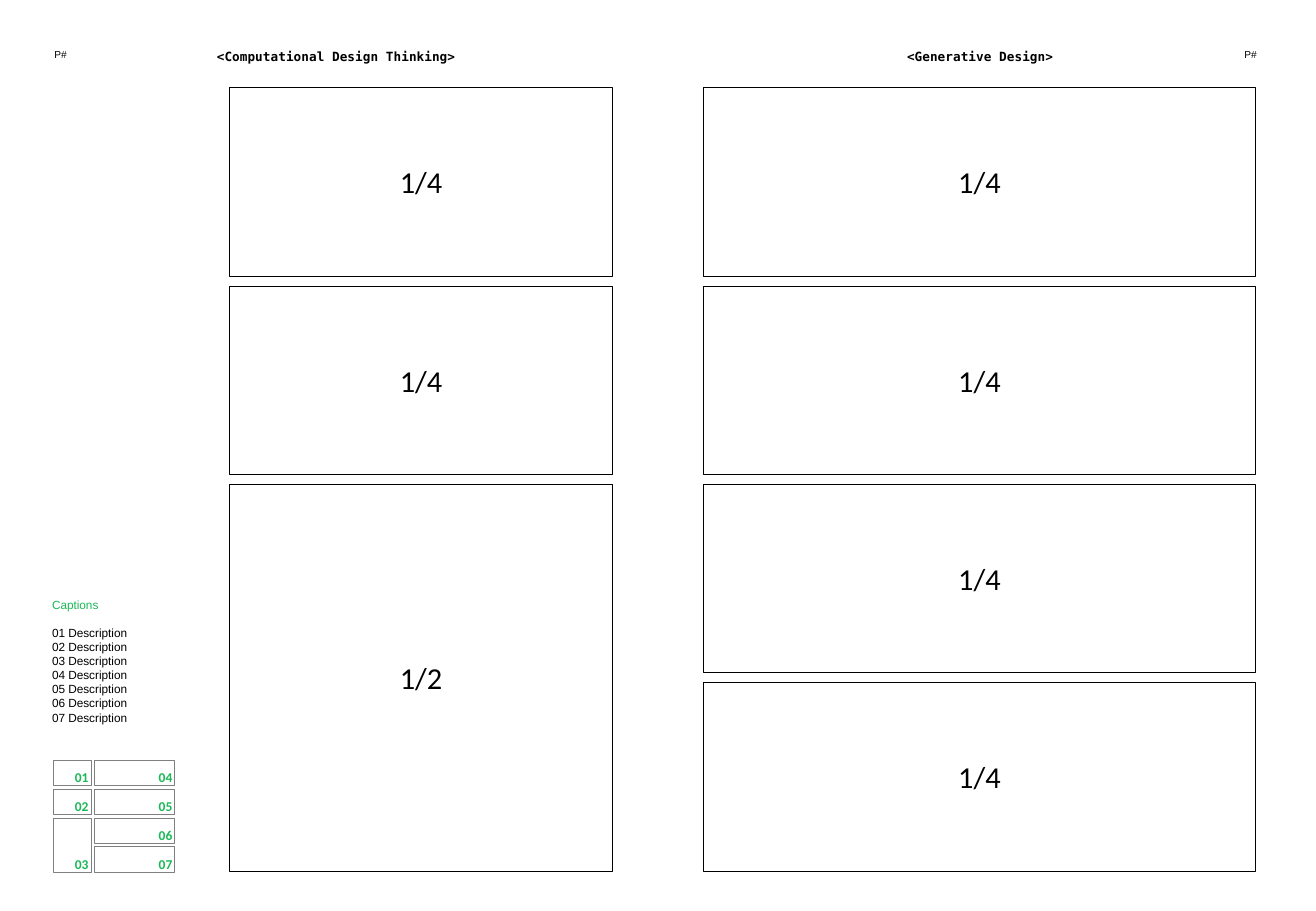
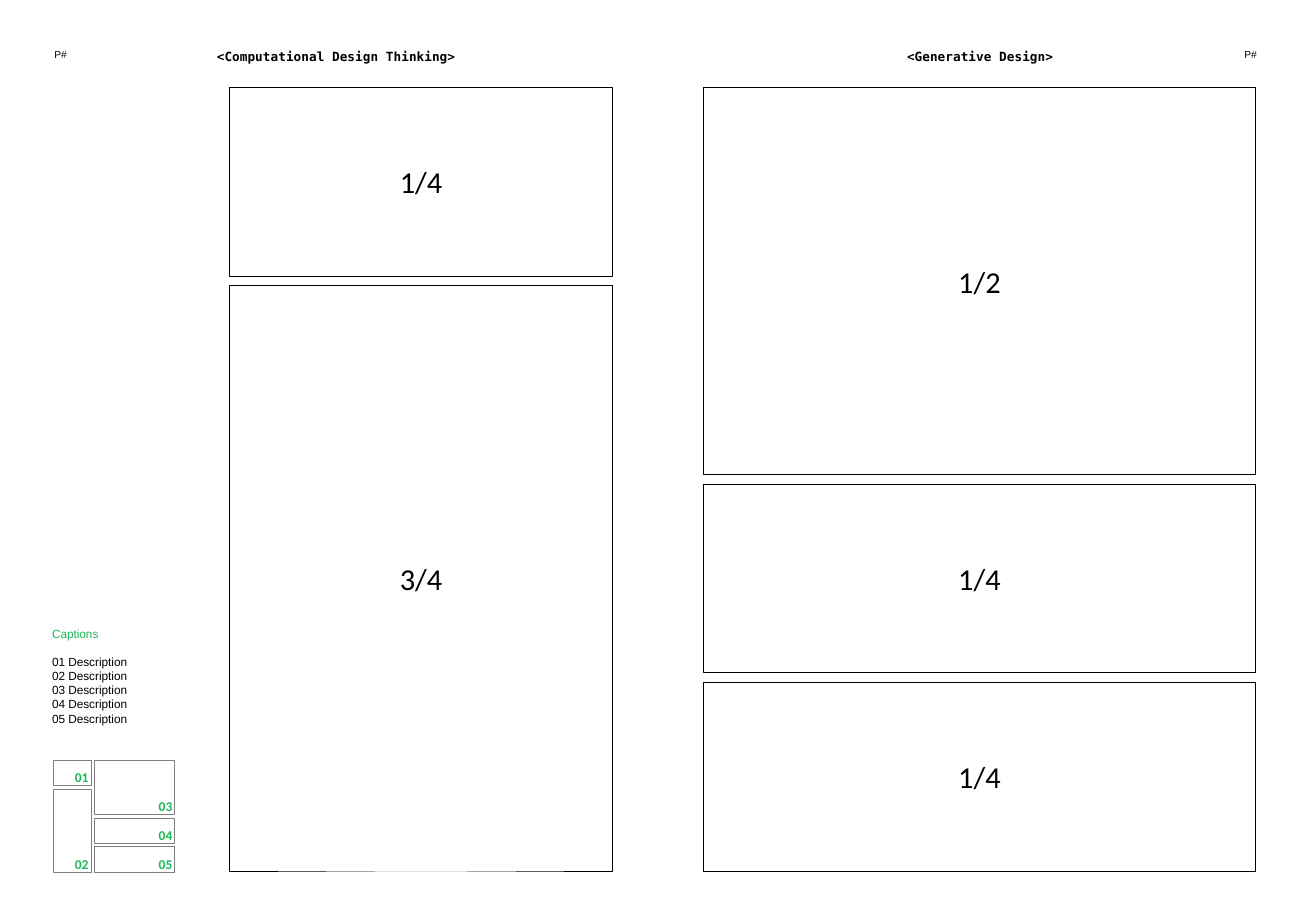
from pptx import Presentation
from pptx.dml.color import RGBColor
from pptx.enum.shapes import MSO_SHAPE
from pptx.enum.text import MSO_ANCHOR, MSO_AUTO_SIZE, PP_ALIGN
from pptx.util import Pt

PX = 9144  # 100 px to the inch
LEFT, CENTER, RIGHT = PP_ALIGN.LEFT, PP_ALIGN.CENTER, PP_ALIGN.RIGHT
TOP, MIDDLE, BOTTOM = MSO_ANCHOR.TOP, MSO_ANCHOR.MIDDLE, MSO_ANCHOR.BOTTOM
NO_AUTOFIT = MSO_AUTO_SIZE.NONE
RECTANGLE = MSO_SHAPE.RECTANGLE
BLACK, WHITE, GRAY, GREEN = "000000", "FFFFFF", "808080", "1CB857"

# Shared text styles: font attributes, colour, alignment, anchor
HEADING = ({"name": "DejaVu Sans Mono", "size": Pt(7.5), "bold": True}, BLACK, CENTER, TOP)
PAGE_LEFT = ({"name": "Arial", "size": Pt(6)}, BLACK, LEFT, TOP)
PAGE_RIGHT = ({"name": "Arial", "size": Pt(6)}, BLACK, RIGHT, TOP)
CAPTION_TITLE = ({"name": "Arial", "size": Pt(7)}, GREEN, LEFT, TOP)
CAPTION = ({"name": "Arial", "size": Pt(7)}, BLACK, LEFT, TOP)
FRAME = ({"name": "Calibri", "size": Pt(18)}, BLACK, CENTER, MIDDLE)
KEY = ({"name": "Calibri", "size": Pt(8), "bold": True}, GREEN, RIGHT, BOTTOM)

# Both grids have four rows: top, bottom, gap and (left, width) of each column
FRAME_GRID = (72, 717, 8, [(189, 315), (579, 454)])
KEY_GRID = (626, 718, 3, [(44, 31), (78, 66)])
ROWS = 4
CAPTION_LINE, CAPTION_SPACE, CAPTION_TITLE_HEIGHT = 12, 32, 23

# Rows taken by each frame, from the top, in the left and right column
SPREADS = [
    [[1, 1, 2], [1, 1, 1, 1]],
    [[1, 3], [2, 1, 1]],
]


def color(value):
    return RGBColor.from_string(value)


def write(shape, lines, style, insets=(10, 5, 10, 5)):
    font_values, text_color, alignment, anchor = style
    frame = shape.text_frame
    left, top, right, bottom = (round(inset * PX) for inset in insets)
    frame_values = {
        "word_wrap": True, "auto_size": NO_AUTOFIT, "vertical_anchor": anchor,
        "margin_left": left, "margin_top": top,
        "margin_right": right, "margin_bottom": bottom,
    }
    for name, value in frame_values.items():
        setattr(frame, name, value)
    frame.text = "\n".join(lines)
    for paragraph in frame.paragraphs:
        paragraph.alignment = alignment
        font = paragraph.runs[0].font
        for name, value in font_values.items():
            setattr(font, name, value)
        font.color.rgb = color(text_color)


presentation = Presentation()
presentation.slide_width, presentation.slide_height = 1083 * PX, 750 * PX
title_only = presentation.slide_layouts[5]

for spread in SPREADS:
    slide = presentation.slides.add_slide(title_only)

    # Left running head
    title = slide.shapes.title
    title_box = {"left": 161, "top": 35, "width": 231, "height": 24}
    for name, value in title_box.items():
        setattr(title, name, value * PX)
    write(title, ["<Computational Design Thinking>"], HEADING)

    # Right running head, page numbers and captions
    count = sum(len(spans) for spans in spread)
    list_height = CAPTION_LINE * count + CAPTION_SPACE
    list_top = KEY_GRID[0] - list_height
    descriptions = [f"{number:02d} Description" for number in range(1, count + 1)]
    texts = [
        (691, 35, 231, 24, ["<Generative Design>"], HEADING),
        (35, 35, 75, 20, ["P#"], PAGE_LEFT),
        (969, 35, 75, 20, ["P#"], PAGE_RIGHT),
        (33, list_top - CAPTION_TITLE_HEIGHT, 75, CAPTION_TITLE_HEIGHT,
         ["Captions"], CAPTION_TITLE),
        (33, list_top, 114, list_height, descriptions, CAPTION),
    ]
    for left, top, width, height, lines, style in texts:
        box = slide.shapes.add_textbox(left * PX, top * PX, width * PX, height * PX)
        write(box, lines, style)

    # Picture frames, and the small numbered key that repeats their layout
    for grid in (FRAME_GRID, KEY_GRID):
        grid_top, grid_bottom, gap, columns = grid
        pitch = (grid_bottom - grid_top + gap) / ROWS
        number = 0
        for (left, width), spans in zip(columns, spread):
            row = 0
            for span in spans:
                number += 1
                top = round((grid_top + row * pitch) * PX)
                height = round((span * pitch - gap) * PX)
                cell = slide.shapes.add_shape(RECTANGLE, left * PX, top, width * PX, height)
                cell.shadow.inherit = False
                if grid is FRAME_GRID:
                    cell.fill.solid()
                    cell.fill.fore_color.rgb = color(WHITE)
                    cell.line.color.rgb = color(BLACK)
                    cell.line.width = Pt(0.25)
                    write(cell, ["1/2" if span == 2 else f"{span}/{ROWS}"], FRAME)
                else:
                    cell.fill.background()
                    cell.line.color.rgb = color(GRAY)
                    cell.line.width = Pt(0.5)
                    write(cell, [f"{number:02d}"], KEY, (0, 6, 2, 0))
                row += span

presentation.save("out.pptx")
